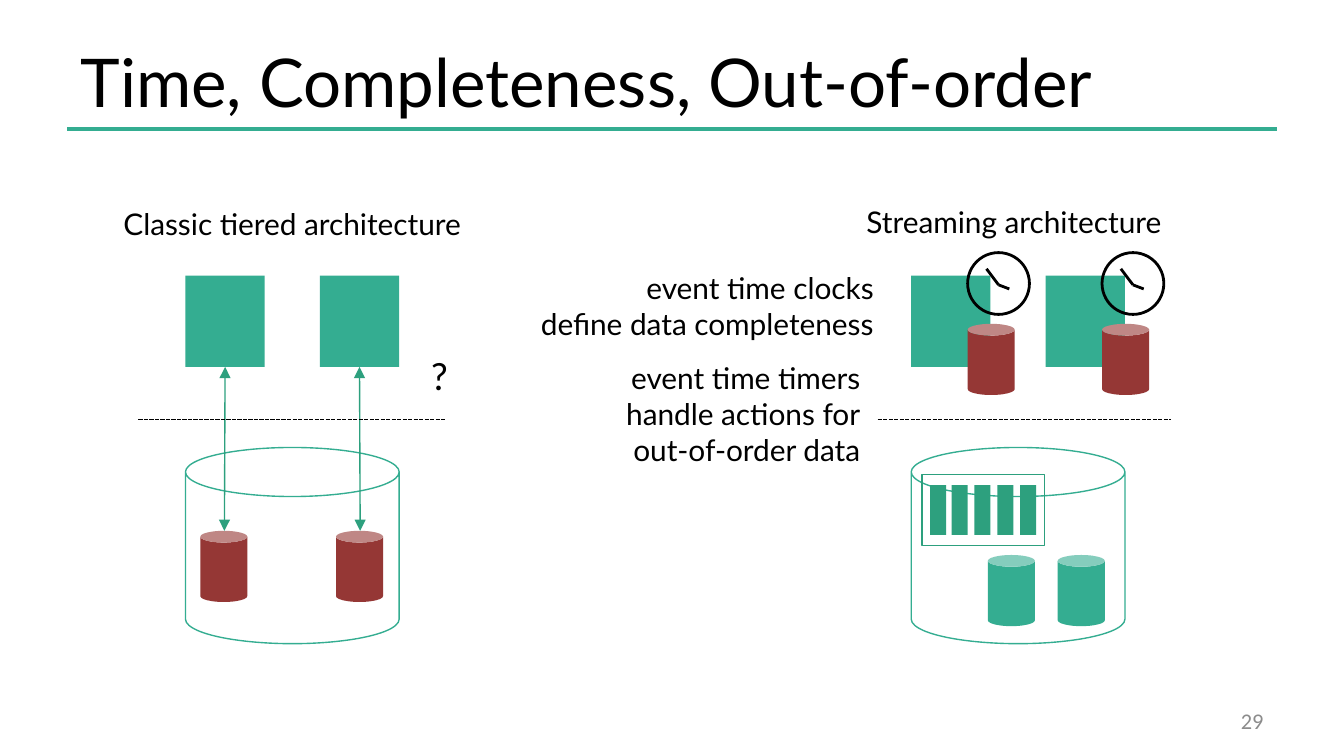
"""Build the slide comparing classic tiered and streaming architectures."""
from dataclasses import dataclass
from typing import Any

from lxml import etree
from pptx import Presentation
from pptx import util as u
from pptx.dml import color
from pptx.enum import dml, shapes, text
from pptx.oxml import ns

PX = 9144
SLIDE_WIDTH = 1000 * PX
SLIDE_HEIGHT = SLIDE_WIDTH * 9 // 16
TEAL, GREEN, RED, BLACK, GRAY = "34AD91", "2DA07E", "953735", "000000", "8C8C8C"
RECT, CAN, OVAL = (
    shapes.MSO_SHAPE.RECTANGLE,
    shapes.MSO_SHAPE.CAN,
    shapes.MSO_SHAPE.OVAL,
)
LEFT, CENTER, RIGHT = text.PP_ALIGN.LEFT, text.PP_ALIGN.CENTER, text.PP_ALIGN.RIGHT
TOP, MIDDLE = text.MSO_ANCHOR.TOP, text.MSO_ANCHOR.MIDDLE


@dataclass(frozen=True)
class Box:
    """Position and size in px, 100 px to the inch."""

    left: int
    top: int
    width: int
    height: int

    def emu(self) -> list[int]:
        """Return the four lengths in EMU."""
        return [value * PX for value in (self.left, self.top, self.width, self.height)]


@dataclass(frozen=True)
class Label:
    """Wording, place and format of a text box."""

    wording: str
    box: Box
    align: Any = CENTER
    size: int = 16
    font: str = "Lato"
    color: str = BLACK
    wrap: bool = True
    anchor: Any = TOP


def rgb(value: str) -> color.RGBColor:
    """Turn a hex string into a colour."""
    return color.RGBColor.from_string(value)


def apply(target: Any, values: dict[str, Any]) -> None:
    """Set every named attribute on the target."""
    for name, value in values.items():
        setattr(target, name, value)


def write(shape: Any, label: Label) -> None:
    """Put the label's formatted wording into a shape."""
    frame = shape.text_frame
    apply(frame, {"word_wrap": label.wrap, "vertical_anchor": label.anchor})
    paragraph = frame.paragraphs[0]
    apply(paragraph, {"text": label.wording, "alignment": label.align})
    for run in paragraph.runs:
        apply(run.font, {"name": label.font, "size": u.Pt(label.size)})
        run.font.color.rgb = rgb(label.color)


def add_label(parent: Any, label: Label) -> None:
    """Add a text box for a label."""
    shape = parent.add_textbox(*label.box.emu())
    write(shape, label)
    if label.anchor == TOP:
        shape.text_frame.auto_size = text.MSO_AUTO_SIZE.SHAPE_TO_FIT_TEXT


def add_filled(parent: Any, kind: Any, box: Box, fill: str) -> Any:
    """Add a filled shape without an outline."""
    shape = parent.add_shape(kind, *box.emu())
    shape.shadow.inherit = False
    shape.fill.solid()
    shape.fill.fore_color.rgb = rgb(fill)
    shape.line.fill.background()
    return shape


def add_outline(
    parent: Any, kind: Any, box: Box, line: str, width: float = 0.75
) -> None:
    """Add an unfilled shape with an outline."""
    shape = parent.add_shape(kind, *box.emu())
    shape.shadow.inherit = False
    shape.fill.background()
    shape.line.color.rgb = rgb(line)
    shape.line.width = u.Pt(width)


def add_line(
    parent: Any,
    start: tuple[int, int],
    end: tuple[int, int],
    line: str,
    width: float = 0.75,
) -> Any:
    """Add a straight connector without a shadow."""
    connector = parent.add_connector(
        shapes.MSO_CONNECTOR.STRAIGHT, *(value * PX for value in start + end)
    )
    connector.line.color.rgb = rgb(line)
    connector.line.width = u.Pt(width)
    etree.SubElement(connector._element.spPr, ns.qn("a:effectLst"))
    return connector


def add_double_arrow(parent: Any, start: tuple[int, int], block: Any) -> None:
    """Add a two-headed arrow up to the bottom side of a block."""
    connector = add_line(parent, start, (start[0], 273), GREEN)
    connector.end_connect(block, 2)
    for end in ("a:headEnd", "a:tailEnd"):
        etree.SubElement(connector.line._get_or_add_ln(), ns.qn(end), type="triangle")


def add_clock(parent: Any, left: int, top: int) -> None:
    """Add a grouped clock face with two hands."""
    clock = parent.add_group_shape().shapes
    center = (left + 23, top + 24)
    add_outline(clock, OVAL, Box(left, top, 46, 46), BLACK, 1.5)
    add_line(clock, center, (left + 14, top + 12), BLACK, 1.5)
    add_line(clock, (left + 31, top + 27), center, BLACK, 1.5)


LABELS = [
    Label("29", Box(717, 521, 233, 30), RIGHT, 12, "Calibri", GRAY, anchor=MIDDLE),
    Label("?", Box(311, 258, 32, 44), size=20, wrap=False),
    Label("event time clocks\ndefine data completeness", Box(360, 196, 300, 64), RIGHT),
    Label(
        "event time timers\nhandle actions for\nout-of-order data",
        Box(452, 263, 198, 91),
        RIGHT,
    ),
    Label("Classic tiered architecture", Box(77, 148, 281, 37)),
    Label("Streaming architecture", Box(614, 147, 281, 37)),
]
TITLE = Label(
    "Time, Completeness, Out-of-order", Box(50, 23, 818, 74), LEFT, 36, anchor=MIDDLE
)


def main() -> None:
    """Build and save the presentation."""
    presentation = Presentation()
    apply(presentation, {"slide_width": SLIDE_WIDTH, "slide_height": SLIDE_HEIGHT})
    slide = presentation.slides.add_slide(presentation.slide_layouts[5])
    parent = slide.shapes

    add_line(parent, (50, 96), (950, 96), TEAL, 2)
    title = parent.title
    apply(title, dict(zip(("left", "top", "width", "height"), TITLE.box.emu())))
    write(title, TITLE)

    for left in (138, 678):
        add_outline(parent, CAN, Box(left, 333, 159, 146), TEAL)
    blocks = [
        add_filled(parent, RECT, Box(left, 205, 59, 68), TEAL)
        for left in (138, 238, 678, 778)
    ]
    for left, block in zip((149, 250), blocks):
        add_filled(parent, CAN, Box(left, 395, 35, 53), RED)
        add_double_arrow(parent, (left + 18, 395), block)

    for left in (720, 820):
        add_filled(parent, CAN, Box(left, 241, 35, 53), RED)
        add_clock(parent, left, 188)
    for index in range(5):
        add_filled(parent, RECT, Box(692 + index * 67 // 4, 361, 12, 37), GREEN)
    add_outline(parent, RECT, Box(686, 353, 91, 53), GREEN)
    for left in (735, 787):
        add_filled(parent, CAN, Box(left, 413, 35, 53), TEAL)

    for start, end in ((103, 331), (653, 871)):
        divider = add_line(parent, (start, 312), (end, 312), BLACK)
        divider.line.dash_style = dml.MSO_LINE.SQUARE_DOT
    for label in LABELS:
        add_label(parent, label)

    presentation.save("out.pptx")


if __name__ == "__main__":
    main()
